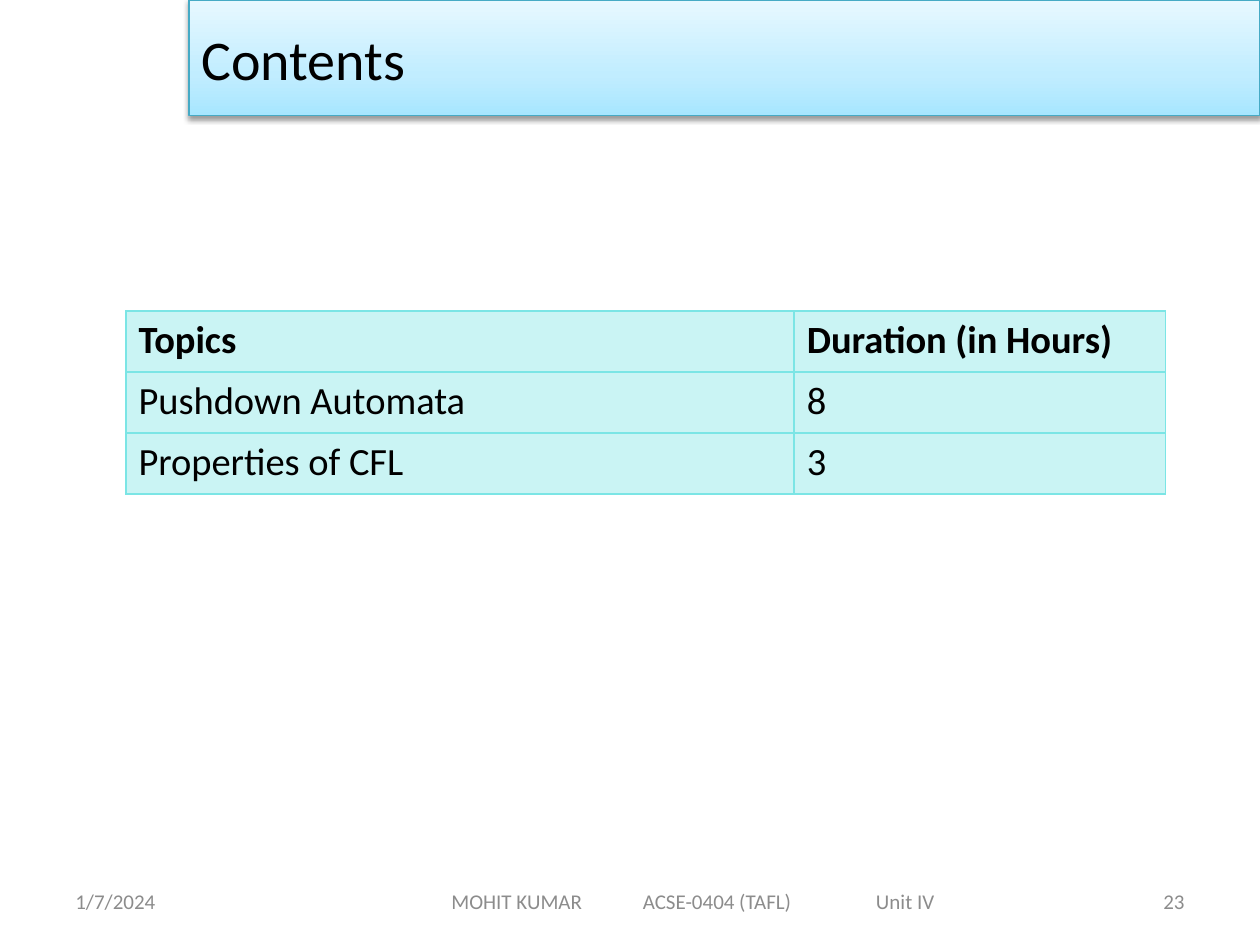
from dataclasses import dataclass

from pptx import Presentation
from pptx import util as u
from pptx.dml.color import RGBColor
from pptx.enum import shapes, text
from pptx.oxml import parse_xml
from pptx.oxml.ns import nsdecls


@dataclass(frozen=True)
class Theme:
    font: str = "Calibri"
    ink: str = "000000"
    muted: str = "8C8C8C"
    aqua: str = "7BE5E5"
    banner_line: str = "46AAC5"
    banner_stops: tuple = ((0, "A7E6FF"), (35, "C1EDFF"), (100, "E7F8FF"))
    title: int = 32
    body: int = 22
    small: int = 12


T = Theme()


def add_run(p, content, size, color, bold=False):
    r = p.add_run()
    r.text = content
    r.font.name, r.font.size, r.font.bold = T.font, u.Pt(size), bold
    r.font.color.rgb = RGBColor.from_string(color)


def xml(tag, attrs, inner):
    return parse_xml(f"<a:{tag} {nsdecls('a')} {attrs}>{inner}</a:{tag}>")


prs = Presentation()
prs.slide_width, prs.slide_height = u.Cm(25.4), u.Cm(19.05)
s = prs.slides.add_slide(prs.slide_layouts[6])

# Topics table
rows = [("Topics", "Duration (in Hours)"), ("Pushdown Automata", "8"), ("Properties of CFL", "3")]
row_height = 1.23
table = s.shapes.add_table(len(rows), 2, u.Cm(2.54), u.Cm(6.27),
                           u.Cm(20.96), u.Cm(row_height * len(rows))).table
for column, width in zip(table.columns, (13.47, 7.49)):
    column.width = u.Cm(width)
for i, row in enumerate(rows):
    table.rows[i].height = u.Cm(row_height)
    for j, content in enumerate(row):
        cell = table.cell(i, j)
        add_run(cell.text_frame.paragraphs[0], content, T.body, T.ink, bold=i == 0)
        tc_pr = cell._tc.get_or_add_tcPr()
        aqua = f'<a:solidFill><a:srgbClr val="{T.aqua}"/></a:solidFill>'
        for side in ("lnL", "lnR", "lnT", "lnB"):
            tc_pr.append(xml(side, f'w="{u.Pt(1)}"', aqua))
        tc_pr.append(xml("solidFill", "",
                         f'<a:srgbClr val="{T.aqua}"><a:alpha val="40000"/></a:srgbClr>'))

# Title banner with gradient and soft shadow
banner = s.shapes.add_shape(shapes.MSO_SHAPE.RECTANGLE, u.Cm(3.81), 0, u.Cm(21.59), u.Cm(2.33))
banner.line.color.rgb = RGBColor.from_string(T.banner_line)
banner.line.width = u.Pt(0.75)
stops = "".join(f'<a:gs pos="{pos * 1000}"><a:srgbClr val="{color}"/></a:gs>'
                for pos, color in T.banner_stops)
sp_pr = banner._element.spPr
sp_pr.find("{*}prstGeom").addnext(xml(
    "gradFill", 'rotWithShape="1"',
    f'<a:gsLst>{stops}</a:gsLst><a:lin ang="16200000" scaled="0"/>'))
sp_pr.append(xml(
    "effectLst", "",
    f'<a:outerShdw blurRad="{u.Pt(3.1)}" dist="{u.Pt(1.6)}" dir="5400000" rotWithShape="0">'
    f'<a:srgbClr val="{T.ink}"><a:alpha val="38000"/></a:srgbClr></a:outerShdw>'))
tf = banner.text_frame
tf.vertical_anchor = text.MSO_ANCHOR.MIDDLE
p = tf.paragraphs[0]
p.alignment = text.PP_ALIGN.LEFT
add_run(p, "Contents", T.title, T.ink)

# Footer: date, course line with tab stops, page number
footer = [
    (1.27, 5.92, 0.25, text.PP_ALIGN.LEFT, (), "1/7/2024"),
    (6.99, 13.97, 2.11, text.PP_ALIGN.LEFT, (3.86, 8.56),
     "MOHIT KUMAR\tACSE-0404 (TAFL)\tUnit IV"),
    (18.21, 5.92, 0.25, text.PP_ALIGN.RIGHT, (), "23"),
]
for left, width, inset, align, tabs, content in footer:
    tf = s.shapes.add_textbox(u.Cm(left), u.Cm(17.65), u.Cm(width), u.Cm(1.02)).text_frame
    tf.word_wrap = True
    tf.vertical_anchor = text.MSO_ANCHOR.MIDDLE
    tf.margin_left = u.Cm(inset)
    p = tf.paragraphs[0]
    p.alignment = align
    if tabs:
        marks = "".join(f'<a:tab pos="{u.Cm(t)}" algn="l"/>' for t in tabs)
        p._p.get_or_add_pPr().append(xml("tabLst", "", marks))
    add_run(p, content, T.small, T.muted)

prs.save("out.pptx")
